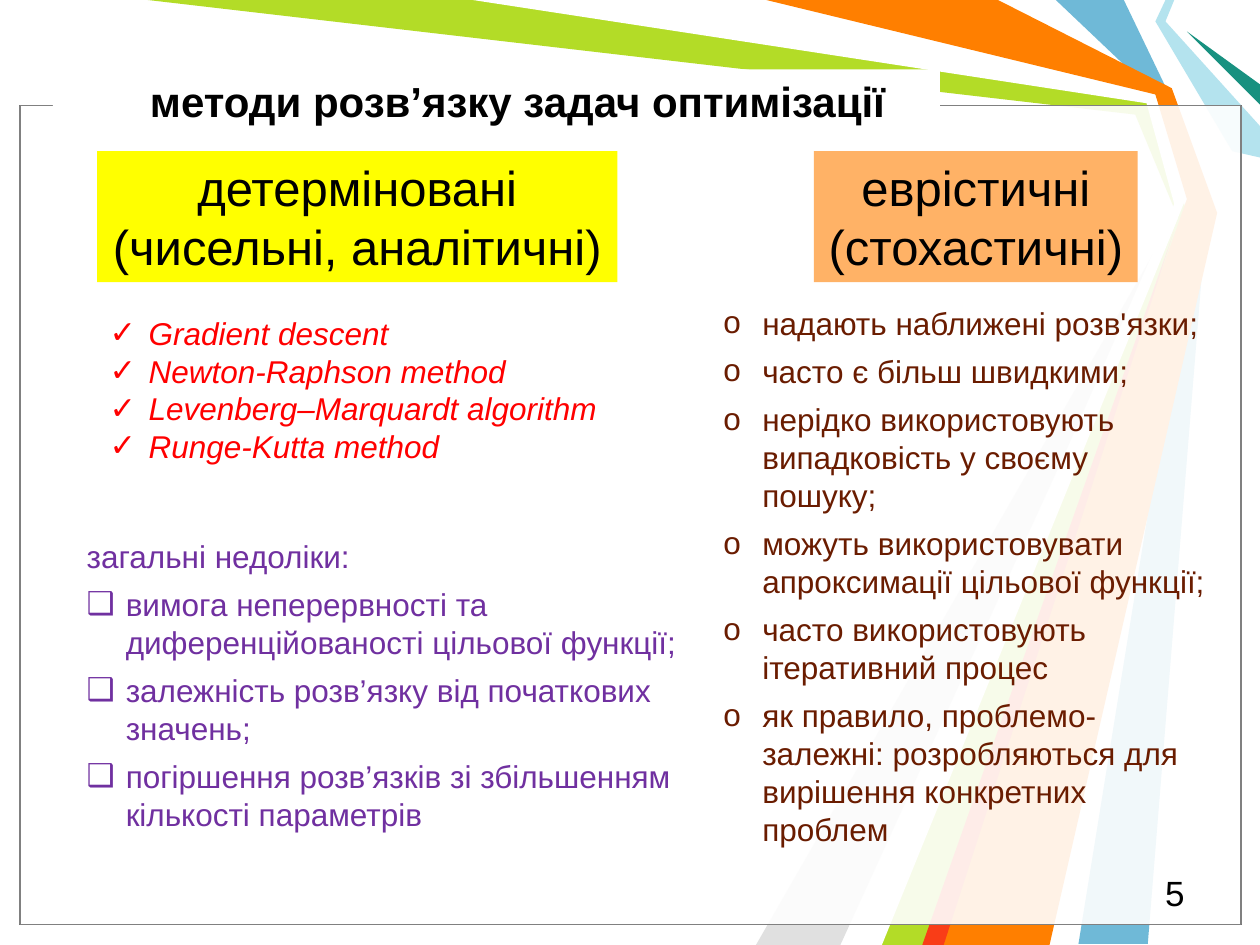
from lxml.etree import SubElement
from pptx import Presentation
from pptx.dml.color import RGBColor
from pptx.enum.shapes import MSO_SHAPE
from pptx.enum.text import MSO_ANCHOR, MSO_AUTO_SIZE, PP_ALIGN
from pptx.oxml.ns import qn
from pptx.util import Inches, Pt

COLORS = {
    "white": "FFFFFF", "black": "000000", "gray": "808080", "silver": "E0E0E0",
    "blue": "6FB9D7", "green": "B3DC27", "sky": "B4E3EE", "teal": "189180",
    "orange": "FF7F00", "scarlet": "F93D17", "yellow": "FFFF00",
    "peach": "FFB266", "red": "FF0000", "purple": "7030A0", "brown": "6A1C00",
}
RIBBONS = [
    ("blue", [(8.92, 0), (9.29, 0.77), (9.58, 1.67), (9.11, 7.49), (8.56, 7.49),
              (9.5, 1.67), (9.17, 0.75), (8.38, 0)]),
    ("green", [(1.17, 0), (3.83, 0), (9.14, 0.78), (9.42, 1.69), (7.42, 7.5),
               (6.92, 7.5), (9.35, 1.73), (9.01, 0.91)]),
    ("silver", [(6.67, 7.5), (9.27, 1.81), (6, 7.5)]),
    ("white", [(3.75, 0), (9.1, 0.82), (9.32, 1.62), (6.75, 7.5), (7, 7.5),
               (9.41, 1.58), (9.17, 0.75), (6, 0)]),
    ("sky", [(9.25, 0), (9.17, 0.17), (9.78, 1.2), (10, 1.25), (10, 1),
             (9.25, 0.17), (9.32, 0)]),
    ("teal", [(10, 0.83), (9.42, 0.25), (10, 0.67)]),
    ("orange", [(6.08, 0), (7.92, 0), (9.3, 0.7), (9.66, 1.69), (8.33, 7.5),
                (7.33, 7.5), (9.42, 1.58), (9.17, 0.75)]),
    ("scarlet", [(7.32, 7.5), (9.32, 1.83), (7.49, 7.5)]),
]
PANEL = (0.16, 0.84, 9.69, 6.5)
PANEL_LINES = ["black", "gray"]
PANEL_OPACITY = 69
TITLE_STRIP = (0.42, 0.74, 6.83, 0.17)
TITLE = ("методи розв’язку задач оптимізації", (1.09, 0.55, 6.37, 0.5))
HEADINGS = [
    (1, (0.77, 1.2, 4.13, 1.04), "yellow", ["детерміновані", "(чисельні, аналітичні)"]),
    (3, (6.46, 1.2, 2.57, 1.04), "peach", ["еврістичні", "(стохастичні)"]),
]
METHODS = ["Gradient descent", "Newton-Raphson method",
           "Levenberg–Marquardt algorithm", "Runge-Kutta method"]
DRAWBACKS_INTRO = "загальні недоліки:"
DRAWBACKS = [
    "вимога неперервності та диференційованості цільової функції;",
    "залежність розв’язку від початкових значень;",
    "погіршення розв’язків зі збільшенням кількості параметрів",
]
TRAITS = [
    "надають наближені розв'язки;",
    "часто є більш швидкими;",
    "нерідко використовують випадковість у своєму пошуку;",
    "можуть використовувати апроксимації цільової функції;",
    "часто використовують ітеративний процес",
    "як правило, проблемо-залежні: розробляються для вирішення конкретних проблем",
]
METHODS_AREA = (0.77, 2.44, 4.42, 1.31)
DRAWBACKS_AREA = (0.59, 4.21, 4.96, 2.47)
TRAITS_AREA = (5.64, 2.36, 4.04, 4.85)
NUMBER = ("5", (7.17, 6.87, 2.33, 0.33))


def color(name):
    return RGBColor.from_string(COLORS[name])


def paint(shape, fill, line=None):
    shape.shadow.inherit = False
    shape.fill.solid()
    shape.fill.fore_color.rgb = color(fill)
    if line:
        shape.line.color.rgb = color(line)
        shape.line.width = Pt(0.75)
    else:
        shape.line.fill.background()


def add_ribbon(page, fill, points):
    corners = [(Inches(x), Inches(y)) for x, y in points]
    builder = page.shapes.build_freeform(*corners[0])
    builder.add_line_segments(corners[1:], close=True)
    paint(builder.convert_to_shape(), fill)


def add_rectangle(page, area, fill, line=None):
    shape = page.shapes.add_shape(MSO_SHAPE.RECTANGLE, *map(Inches, area))
    paint(shape, fill, line)
    return shape


def place(box, area, wrap=True):
    box.left, box.top, box.width, box.height = map(Inches, area)
    box.element.getparent().append(box.element)
    frame = box.text_frame
    frame.word_wrap = wrap
    frame.auto_size = MSO_AUTO_SIZE.NONE
    frame.vertical_anchor = MSO_ANCHOR.TOP


def write(box, lines, size, ink, bullet=None, after=0, align=PP_ALIGN.LEFT,
          bold=False, italic=False, intro=None):
    frame = box.text_frame
    texts = ([intro] if intro else []) + lines
    for index, text in enumerate(texts):
        para = frame.paragraphs[0] if index == 0 else frame.add_paragraph()
        properties = para._p.get_or_add_pPr()
        marked = bullet and text != intro
        properties.set("marL", str(Inches(0.31) if marked else 0))
        properties.set("indent", str(Inches(-0.31) if marked else 0))
        if marked:
            SubElement(properties, qn("a:buFont"), typeface="Arial")
            SubElement(properties, qn("a:buChar"), char=bullet)
        else:
            SubElement(properties, qn("a:buNone"))
        para.alignment = align
        para.space_before = Pt(0)
        para.space_after = Pt(after)
        span = para.add_run()
        span.text = text
        span.font.name = "Arial"
        span.font.size = Pt(size)
        span.font.bold = bold
        span.font.italic = italic
        span.font.color.rgb = color(ink)


def main():
    """Build the slide comparing deterministic and heuristic optimisation methods."""
    deck = Presentation()
    deck.slide_width, deck.slide_height = Inches(10), Inches(7.5)
    page = deck.slides.add_slide(deck.slide_layouts.get_by_name("Comparison"))
    holders = {holder.placeholder_format.idx: holder for holder in page.placeholders}

    for fill, points in RIBBONS:
        add_ribbon(page, fill, points)
    for line in PANEL_LINES:
        panel = add_rectangle(page, PANEL, "white", line)
        tint = panel.fill._xPr.find(qn("a:solidFill"))[0]
        SubElement(tint, qn("a:alpha"), val=str(PANEL_OPACITY * 1000))
    add_rectangle(page, TITLE_STRIP, "white")

    number, number_area = NUMBER
    number_box = page.shapes.add_textbox(*map(Inches, number_area))
    write(number_box, [number], 20, "black", align=PP_ALIGN.RIGHT)

    title, title_area = TITLE
    place(page.shapes.title, title_area)
    page.shapes.title.fill.solid()
    page.shapes.title.fill.fore_color.rgb = color("white")
    write(page.shapes.title, [title], 24, "black", bold=True)

    for idx, area, fill, lines in HEADINGS:
        heading = holders[idx]
        place(heading, area, wrap=False)
        heading.fill.solid()
        heading.fill.fore_color.rgb = color(fill)
        write(heading, lines, 28, "black", align=PP_ALIGN.CENTER)

    place(holders[2], METHODS_AREA)
    write(holders[2], METHODS, 18, "red", bullet="✓", italic=True)
    drawbacks_box = page.shapes.add_textbox(*map(Inches, DRAWBACKS_AREA))
    place(drawbacks_box, DRAWBACKS_AREA)
    write(drawbacks_box, DRAWBACKS, 18, "purple", bullet="❑", after=6, intro=DRAWBACKS_INTRO)
    place(holders[4], TRAITS_AREA)
    write(holders[4], TRAITS, 18, "brown", bullet="o", after=6)

    deck.save("out.pptx")


if __name__ == "__main__":
    main()
